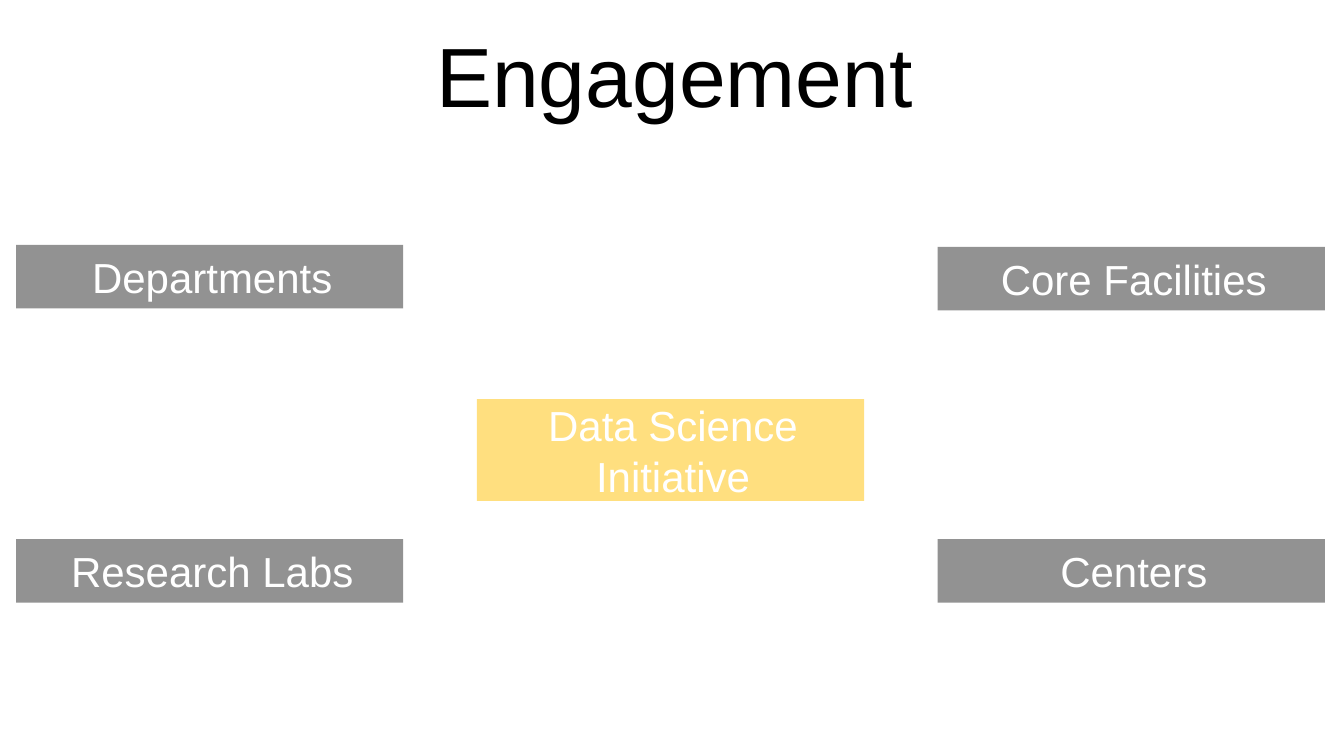
"""Build the Engagement slide: an initiative surrounded by its four partners."""
from lxml import etree
from pptx import Presentation
from pptx.dml.color import RGBColor
from pptx.enum.shapes import MSO_SHAPE
from pptx.enum.text import MSO_ANCHOR, PP_ALIGN
from pptx.oxml.ns import qn
from pptx.util import Inches, Pt

BLACK = RGBColor(0x00, 0x00, 0x00)
WHITE = RGBColor(0xFF, 0xFF, 0xFF)
CHARCOAL = RGBColor(0x26, 0x26, 0x26)
AMBER = RGBColor(0xFF, 0xC0, 0x00)

FONT = "Arial"
OPACITY = 50
SLIDE_WIDTH, SLIDE_HEIGHT = 13.33, 7.5
LABEL_WIDTH, LABEL_HEIGHT, INITIATIVE_HEIGHT = 3.84, 0.63, 1.01
COLUMN_STEP = 4.57
LABEL_FRAME = {
    "word_wrap": True,
    "vertical_anchor": MSO_ANCHOR.MIDDLE,
    "margin_left": Inches(0.15),
    "margin_right": Inches(0.1),
    "margin_top": Inches(0.1),
    "margin_bottom": Inches(0.1),
}
TITLE_FRAME = {"word_wrap": True, "vertical_anchor": MSO_ANCHOR.BOTTOM}

PARTNERS = [
    ("Departments", 0, 2.43),
    ("Core Facilities", 2, 2.45),
    ("Research Labs", 0, 5.35),
    ("Centers", 2, 5.35),
]


def write_text(holder, wording, size, color, frame_format, line_spacing=1.0):
    """Fill a shape with one centred, formatted paragraph."""
    frame = holder.text_frame
    for attribute, value in frame_format.items():
        setattr(frame, attribute, value)
    paragraph = frame.paragraphs[0]
    paragraph.alignment = PP_ALIGN.CENTER
    paragraph.line_spacing = line_spacing
    run = paragraph.add_run()
    run.text = wording
    for attribute, value in {"name": FONT, "size": Pt(size)}.items():
        setattr(run.font, attribute, value)
    run.font.color.rgb = color


def add_title(slide, wording, box):
    """Place the heading at the bottom of its box."""
    heading = slide.shapes.add_textbox(*map(Inches, box))
    write_text(heading, wording, 60, BLACK, TITLE_FRAME, line_spacing=0.9)


def add_label(slide, wording, box, color):
    """Place a translucent rectangle with white centred wording."""
    label = slide.shapes.add_shape(MSO_SHAPE.RECTANGLE, *map(Inches, box))
    label.shadow.inherit = False
    label.line.fill.background()
    label.fill.solid()
    label.fill.fore_color.rgb = color
    fill_color = label.fill._xPr.find(qn("a:solidFill"))[0]
    etree.SubElement(fill_color, qn("a:alpha"), val=str(OPACITY * 1000))
    write_text(label, wording, 30, WHITE, LABEL_FRAME)


def add_engagement_map(slide, left):
    """Place the initiative in the middle column and partners on both sides."""
    for partner, column, top in PARTNERS:
        box = (left + column * COLUMN_STEP, top, LABEL_WIDTH, LABEL_HEIGHT)
        add_label(slide, partner, box, CHARCOAL)
    box = (left + COLUMN_STEP, 3.96, LABEL_WIDTH, INITIATIVE_HEIGHT)
    add_label(slide, "Data Science Initiative", box, AMBER)


def main():
    """Build and save the slide."""
    presentation = Presentation()
    presentation.slide_width = Inches(SLIDE_WIDTH)
    presentation.slide_height = Inches(SLIDE_HEIGHT)
    slide = presentation.slides.add_slide(presentation.slide_layouts[6])
    add_title(slide, "Engagement", (1.69, 0, 10, 1.3))
    add_engagement_map(slide, 0.16)
    presentation.save("out.pptx")


if __name__ == "__main__":
    main()
